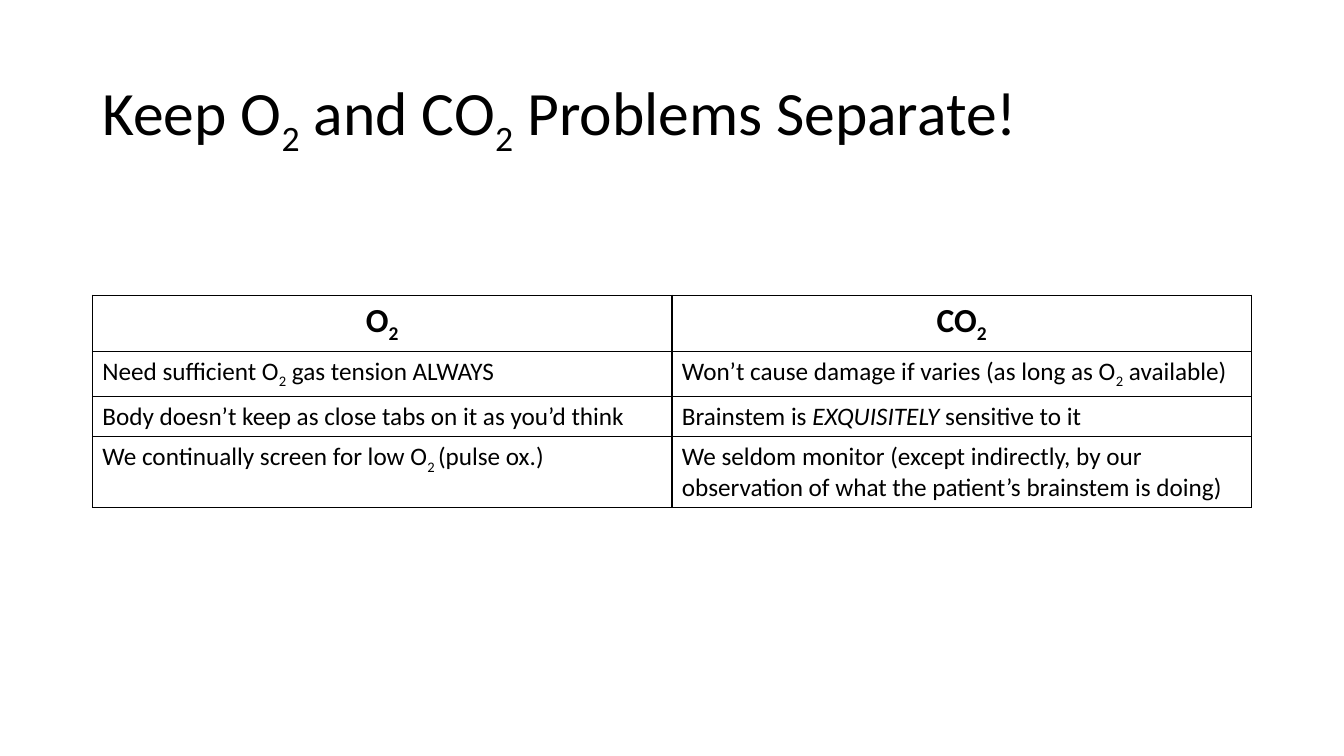
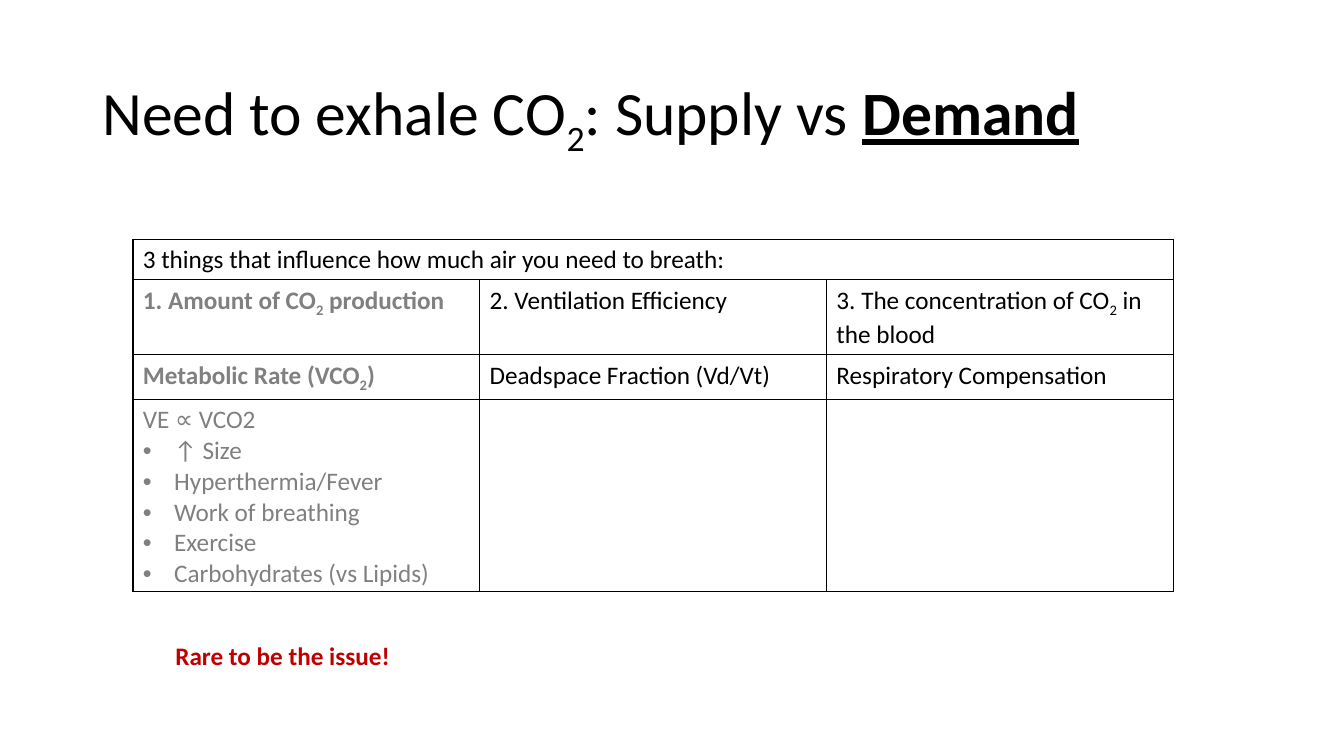
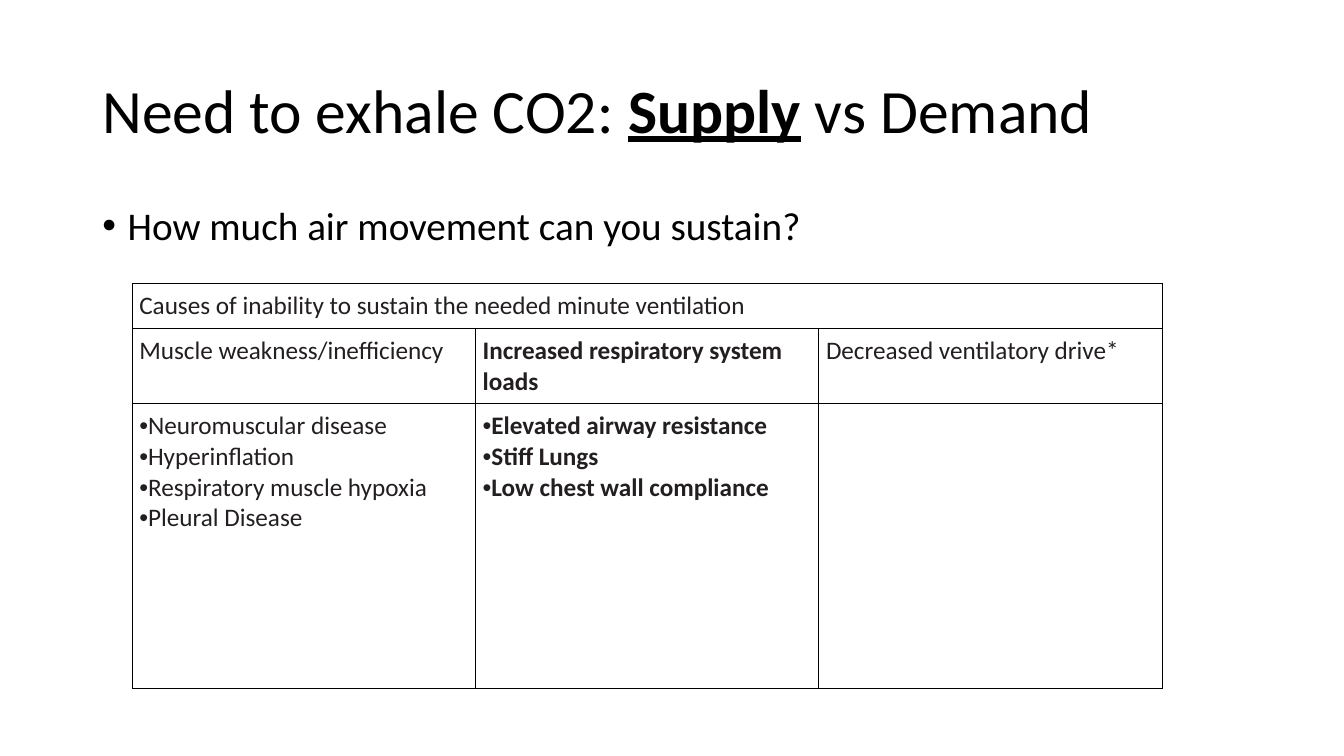
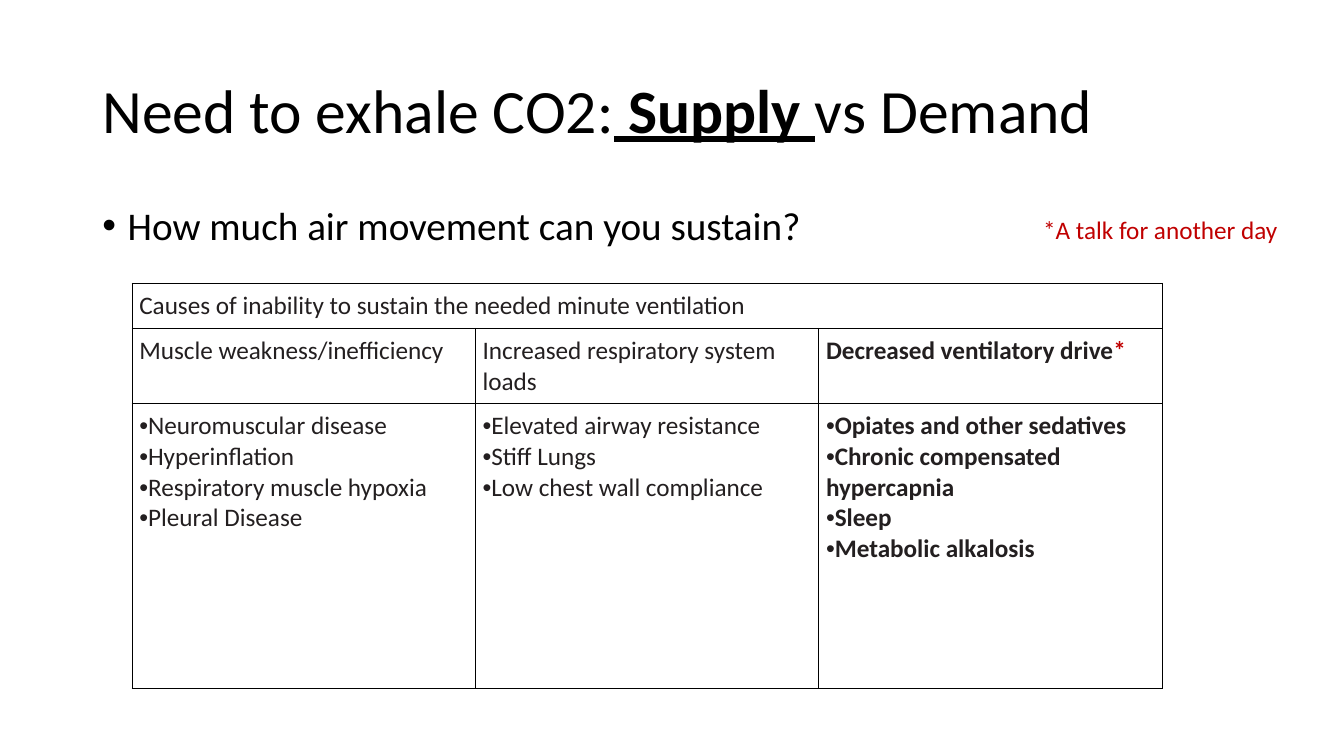
from lxml.etree import SubElement
from pptx import Presentation
from pptx.dml.color import RGBColor as Rgb
from pptx.enum.text import MSO_ANCHOR as Anchor, MSO_AUTO_SIZE as AutoSize, PP_ALIGN as Align
from pptx.oxml import parse_xml
from pptx.oxml.ns import nsdecls, qn
from pptx.util import Cm, Pt

FONT = "Calibri"
COLORS = {"black": "000000", "ink": "231F20", "grey": "808080", "red": "C00000"}
MARK_COLORS = {"g": "grey", "r": "red"}


def write(frame, lines, size, color="black", hang=0, spacing=1, bold=False, align=Align.LEFT):
    """Fill a frame. Runs are split by |, and each may start with its marks and >:
    b bold, i italic, u underline, s subscript, g grey, r red."""
    for number, line in enumerate(lines):
        para = frame.paragraphs[0] if number == 0 else frame.add_paragraph()
        para.alignment = align
        para.line_spacing = spacing
        if line.startswith("•"):
            line = line[1:]
            properties = para._p.get_or_add_pPr()
            properties.set("marL", str(Cm(hang)))
            properties.set("indent", str(-Cm(hang)))
            SubElement(properties, qn("a:buFont"), typeface="Arial")
            SubElement(properties, qn("a:buChar"), char="•")
        for piece in line.split("|"):
            marks, _, text = piece.rpartition(">")
            span = para.add_run()
            span.text = text
            font = span.font
            font.name, font.size = FONT, Pt(size)
            font.bold = bold or "b" in marks
            font.italic = "i" in marks
            font.underline = "u" in marks
            name = next((MARK_COLORS[m] for m in marks if m in MARK_COLORS), color)
            font.color.rgb = Rgb.from_string(COLORS[name])
            if "s" in marks:
                span._r.get_or_add_rPr().set("baseline", "-25000")


# Text boxes: left, top, width, height in cm, then how the text is written
question = ((2.33, 5.08, 20, 1.4), "•How much air movement can you sustain?",
            {"size": 28, "hang": 0.64, "spacing": 0.9})
rare_note = ((4.17, 16, 6.73, 1.02), "br>Rare to be the issue!", {"size": 18})
later_note = ((26.04, 5.28, 7.4, 1.02), "r>*A talk for another day", {"size": 18})

# Table of the last two slides, which stress one column each
causes_style = {"left": 3.33, "top": 7.14, "width": 25.96, "heights": (1.14, 1.88, 7.19),
                "inset": (0.18, 0.18), "color": "ink", "merge_top": True}
causes_title = ["Causes of inability to sustain the needed minute ventilation"]
weakness = ["Muscle weakness/inefficiency"]
weakness_causes = ["•Neuromuscular disease", "•Hyperinflation",
                   "•Respiratory muscle hypoxia", "•Pleural Disease"]
loads = ["Increased respiratory system loads"]
load_causes = ["•Elevated airway resistance", "•Stiff Lungs", "•Low chest wall compliance"]
drive_causes = ["•Opiates and other sedatives", "•Chronic compensated hypercapnia",
                "•Sleep", "•Metabolic alkalosis"]

slides = [
    {
        "title": "Keep O|s>2| and CO|s>2| Problems Separate!",
        "boxes": [],
        "table": {"left": 2.33, "top": 7.44, "width": 29.21, "heights": (1.35, 1.1, 1.02, 1.63),
                  "heading_row": True},
        "rows": [
            [["O|s>2"], ["CO|s>2"]],
            [["Need sufficient O|s>2| gas tension ALWAYS"],
             ["Won’t cause damage if varies (as long as O|s>2| available)"]],
            [["Body doesn’t keep as close tabs on it as you’d think"],
             ["Brainstem is|i> EXQUISITELY |sensitive to it"]],
            [["We continually screen for low O|s>2 |(pulse ox.)"],
             ["We seldom monitor (except indirectly, by our observation of what "
              "the patient’s brainstem is doing)"]],
        ],
    },
    {
        "title": "Need to exhale CO|s>2|: Supply vs |bu>Demand",
        "boxes": [rare_note],
        "table": {"left": 3.35, "top": 6.03, "width": 26.22, "heights": (1, 1.85, 1.1, 4.69),
                  "hang": 0.79, "merge_top": True},
        "rows": [
            [["3 things that influence how much air you need to breath:"], [], []],
            [["gb>1. Amount of CO|gbs>2|gb> production"], ["2. Ventilation Efficiency"],
             ["3. The concentration of CO|s>2| in the blood"]],
            [["gb>Metabolic Rate (VCO|gbs>2|gb>)"], ["Deadspace Fraction (Vd/Vt)"],
             ["Respiratory Compensation"]],
            [["g>VE ∝ VCO2", "•g>↑ Size", "•g>Hyperthermia/Fever", "•g>Work of breathing",
              "•g>Exercise", "•g>Carbohydrates (vs Lipids)"], [], []],
        ],
    },
    {
        "title": "Need to exhale CO2: |bu>Supply| vs Demand",
        "boxes": [question],
        "table": {**causes_style, "bold_column": 1},
        "rows": [
            [causes_title, [], []],
            [weakness, loads, ["Decreased ventilatory drive*"]],
            [weakness_causes, load_causes, []],
        ],
    },
    {
        "title": "Need to exhale CO2:|u> |bu>Supply|u> |vs Demand",
        "boxes": [question, later_note],
        "table": {**causes_style, "bold_column": 2},
        "rows": [
            [causes_title, [], []],
            [weakness, loads, ["Decreased ventilatory drive|r>*"]],
            [weakness_causes, load_causes, drive_causes],
        ],
    },
]

deck = Presentation()
deck.slide_width, deck.slide_height = Cm(33.87), Cm(19.05)

for content in slides:
    page = deck.slides.add_slide(deck.slide_layouts[6])

    # Title
    title = page.shapes.add_textbox(Cm(2.33), Cm(1.01), Cm(29.21), Cm(3.68)).text_frame
    title.word_wrap = True
    title.vertical_anchor = Anchor.MIDDLE
    write(title, [content["title"]], size=44, spacing=0.9)

    # Question and notes
    for place, line, style in content["boxes"]:
        frame = page.shapes.add_textbox(*map(Cm, place)).text_frame
        frame.word_wrap = True
        frame.auto_size = AutoSize.SHAPE_TO_FIT_TEXT
        write(frame, [line], **style)

    # Table
    look, rows = content["table"], content["rows"]
    column_count = len(rows[0])
    table = page.shapes.add_table(
        len(rows), column_count, Cm(look["left"]), Cm(look["top"]),
        Cm(look["width"]), Cm(sum(look["heights"]))).table
    table.first_row = table.horz_banding = False
    for row, height in zip(table.rows, look["heights"]):
        row.height = Cm(height)
    if look.get("merge_top"):
        table.cell(0, 0).merge(table.cell(0, column_count - 1))

    side, edge = look.get("inset", (0.25, 0.13))
    for row_number, row in enumerate(rows):
        heading = row_number == 0 and look.get("heading_row", False)
        for column_number, lines in enumerate(row):
            cell = table.cell(row_number, column_number)
            cell.margin_left = cell.margin_right = Cm(side)
            cell.margin_top = cell.margin_bottom = Cm(edge)
            cell.fill.background()
            properties = cell._tc.get_or_add_tcPr()
            for position, tag in enumerate(("lnL", "lnR", "lnT", "lnB")):
                properties.insert(position, parse_xml(
                    f'<a:{tag} {nsdecls("a")} w="{Pt(1)}"><a:solidFill>'
                    f'<a:srgbClr val="{COLORS["black"]}"/></a:solidFill></a:{tag}>'))
            write(cell.text_frame, lines, size=24 if heading else 18,
                  color=look.get("color", "black"), hang=look.get("hang", 0),
                  bold=heading or (row_number > 0 and column_number == look.get("bold_column")),
                  align=Align.CENTER if heading else Align.LEFT)

deck.save("out.pptx")
